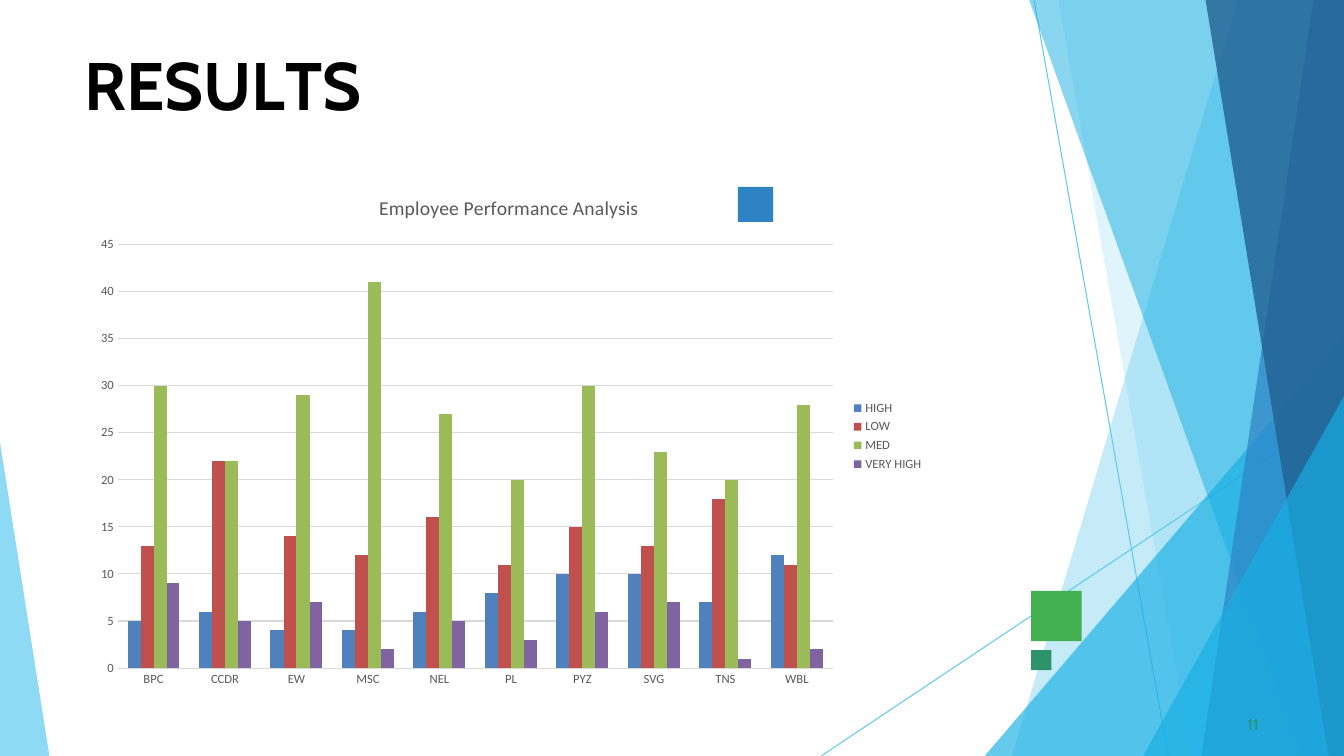
from lxml import etree
from pptx import Presentation
from pptx.chart.data import CategoryChartData
from pptx.dml.color import RGBColor
from pptx.enum.chart import XL_CHART_TYPE as ChartType, XL_LEGEND_POSITION as LegendPos
from pptx.enum.chart import XL_TICK_MARK as TickMark
from pptx.enum.shapes import MSO_CONNECTOR as Connector, MSO_SHAPE as Shape
from pptx.enum.text import MSO_ANCHOR as Anchor, PP_ALIGN as Align
from pptx.oxml.ns import qn
from pptx.util import Pt

BLACK = RGBColor(0x00, 0x00, 0x00)
TEXT_GREY = RGBColor(0x59, 0x59, 0x59)
GRID_GREY = RGBColor(0xD9, 0xD9, 0xD9)
SKY = RGBColor(0x5F, 0xCA, 0xEE)
CYAN = RGBColor(0x17, 0xAF, 0xE3)
BLUE = RGBColor(0x2D, 0x83, 0xC3)
NAVY = RGBColor(0x22, 0x61, 0x92)
GREEN = RGBColor(0x42, 0xAF, 0x51)
TEAL = RGBColor(0x2D, 0x93, 0x6B)
SERIES_BLUE = RGBColor(0x4F, 0x81, 0xBD)
SERIES_RED = RGBColor(0xC0, 0x50, 0x4D)
SERIES_GREEN = RGBColor(0x9B, 0xBB, 0x59)
SERIES_PURPLE = RGBColor(0x80, 0x64, 0xA2)

W, H = 960, 540

# colour, opacity in percent, corners
FACETS = [
    (SKY, 36, [(W, 0), (884.2, 0), (722.9, H), (W, H)]),
    (SKY, 20, [(W, 0), (756, 0), (851, H), (W, H)]),
    (CYAN, 66, [(W, 239.8), (703.4, H), (W, H)]),
    (CYAN, 50, [(W, 0), (735.1, 0), (929.5, H), (W, H)]),
    (BLUE, 70, [(W, 0), (938.2, 0), (858.2, H), (W, H)]),
    (NAVY, 80, [(W, 0), (861.1, 0), (949, H), (W, H)]),
    (CYAN, 66, [(W, 283), (816.5, H), (W, H)]),
    (SKY, 70, [(0, 316.1), (0, H), (35.3, H)]),
]

# left, top, side, colour
SQUARES = [
    (736.6, 422, 36, GREEN),
    (527, 133.4, 25.2, BLUE),
    (736.6, 464.4, 14.4, TEAL),
]

# letters and their tracking in points
TITLE_RUNS = [("R", 0), ("E", -0.4), ("S", 0.1), ("U", -0.3), ("L", -4), ("TS", 0)]

CATEGORIES = ["BPC", "CCDR", "EW", "MSC", "NEL", "PL", "PYZ", "SVG", "TNS", "WBL"]
SERIES = [
    ("HIGH", [5, 6, 4, 4, 6, 8, 10, 10, 7, 12], SERIES_BLUE),
    ("LOW", [13, 22, 14, 12, 16, 11, 15, 13, 18, 11], SERIES_RED),
    ("MED", [30, 22, 29, 41, 27, 20, 30, 23, 20, 28], SERIES_GREEN),
    ("VERY HIGH", [9, 5, 7, 2, 5, 3, 6, 7, 1, 2], SERIES_PURPLE),
]


class SlideBuilder:
    text_font = "Cabin"
    chart_font = "Calibri"

    def __init__(self, slide):
        self.s = slide
        self.shapes = slide.shapes

    def style(self, font, size, color, name, bold=False):
        font.size, font.name, font.bold = Pt(size), name, bold
        font.color.rgb = color

    def track(self, r, points):
        r._r.get_or_add_rPr().set("spc", str(round(points * 100)))

    def frame(self, tf):
        tf.margin_left = tf.margin_right = tf.margin_bottom = 0
        tf.margin_top = Pt(1)
        tf.vertical_anchor = Anchor.TOP
        tf.word_wrap = True

    def line(self, x1, y1, x2, y2, color, width=0.75):
        c = self.shapes.add_connector(Connector.STRAIGHT, Pt(x1), Pt(y1), Pt(x2), Pt(y2))
        c.line.color.rgb = color
        c.line.width = Pt(width)
        etree.SubElement(c._element.spPr, qn("a:effectLst"))

    def facet(self, color, opacity, corners):
        """Draw a translucent polygon."""
        points = [(Pt(x), Pt(y)) for x, y in corners]
        builder = self.shapes.build_freeform(*points[0])
        builder.add_line_segments(points[1:], close=True)
        sp = builder.convert_to_shape()
        self.paint(sp, color)
        clr = sp._element.spPr.find(f"{qn('a:solidFill')}/{qn('a:srgbClr')}")
        etree.SubElement(clr, qn("a:alpha"), val=str(opacity * 1000))

    def square(self, x, y, side, color):
        sp = self.shapes.add_shape(Shape.RECTANGLE, Pt(x), Pt(y), Pt(side), Pt(side))
        self.paint(sp, color)

    def paint(self, sp, color):
        sp.fill.solid()
        sp.fill.fore_color.rgb = color
        sp.line.fill.background()
        sp.shadow.inherit = False

    def title(self, runs, x, y, w, h):
        sp = self.shapes.title
        sp.left, sp.top, sp.width, sp.height = Pt(x), Pt(y), Pt(w), Pt(h)
        self.frame(sp.text_frame)
        p = sp.text_frame.paragraphs[0]
        p.alignment = Align.LEFT
        for text, tracking in runs:
            r = p.add_run()
            r.text = text
            self.style(r.font, 48, BLACK, self.text_font, bold=True)
            self.track(r, tracking)
        sp._element.getparent().append(sp._element)  # bring to front

    def text(self, text, x, y, w, h, size, color):
        tf = self.shapes.add_textbox(Pt(x), Pt(y), Pt(w), Pt(h)).text_frame
        self.frame(tf)
        tf.margin_left = Pt(3)
        tf.text = text
        r = tf.paragraphs[0].runs[0]
        self.style(r.font, size, color, self.text_font)
        self.track(r, 0.1)

    def column_chart(self, title, categories, series, x, y, w, h):
        data = CategoryChartData()
        data.categories = categories
        for name, values, _ in series:
            data.add_series(name, values)
        chart = self.shapes.add_chart(
            ChartType.COLUMN_CLUSTERED, Pt(x), Pt(y), Pt(w), Pt(h), data).chart
        self.style(chart.font, 10, BLACK, self.chart_font)

        chart.has_title = True
        tf = chart.chart_title.text_frame
        tf.text = title
        self.style(tf.paragraphs[0].runs[0].font, 14, TEXT_GREY, self.chart_font)
        chart.chart_title.include_in_layout = False

        chart.has_legend = True
        chart.legend.position = LegendPos.RIGHT
        chart.legend.include_in_layout = False
        self.style(chart.legend.font, 9, TEXT_GREY, self.chart_font)

        for axis in (chart.category_axis, chart.value_axis):
            axis.major_tick_mark = axis.minor_tick_mark = TickMark.NONE
            axis.format.line.fill.background()
            self.style(axis.tick_labels.font, 9, TEXT_GREY, self.chart_font)
        axis = chart.value_axis
        axis.minimum_scale, axis.maximum_scale, axis.major_unit = 0, 45, 5
        grid = axis.major_gridlines.format.line
        grid.color.rgb = GRID_GREY
        grid.width = Pt(0.75)

        plot = chart.plots[0]
        plot.vary_by_categories = False
        plot.gap_width, plot.overlap = 150, 0
        for ser, (_, _, color) in zip(plot.series, series):
            ser.format.fill.solid()
            ser.format.fill.fore_color.rgb = color


def main():
    prs = Presentation()
    prs.slide_width, prs.slide_height = Pt(W), Pt(H)
    b = SlideBuilder(prs.slides.add_slide(prs.slide_layouts[5]))

    b.line(738.7, 0.5, 834.5, H, SKY)
    b.line(W, 290.9, 586.6, H, SKY)
    for facet in FACETS:
        b.facet(*facet)
    for square in SQUARES:
        b.square(*square)
    b.title(TITLE_RUNS, 60, 30, 841, 60)
    b.text("11", 888, 509.8, 18, 15, 11, TEAL)
    b.column_chart("Employee Performance Analysis", CATEGORIES, SERIES,
                   60, 125, 607, 373)
    prs.save("out.pptx")


if __name__ == "__main__":
    main()
